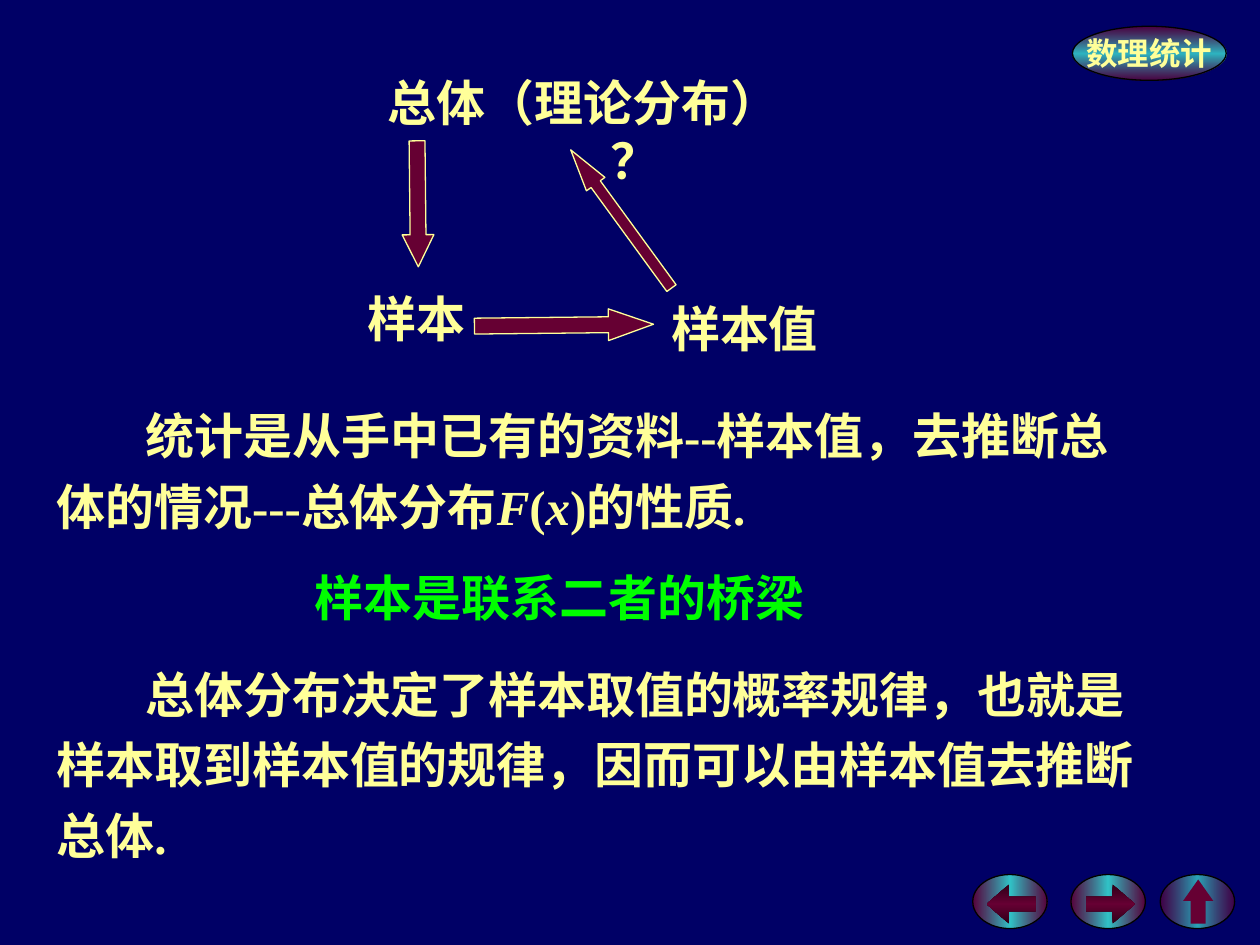
from dataclasses import dataclass

from lxml.etree import SubElement
from pptx import Presentation
from pptx.dml.color import RGBColor
from pptx.enum.shapes import MSO_SHAPE
from pptx.enum.text import MSO_ANCHOR, MSO_AUTO_SIZE, PP_ALIGN
from pptx.oxml.ns import qn
from pptx.util import Cm, Pt

NAVY = RGBColor(0x00, 0x00, 0x66)
MAROON = RGBColor(0x66, 0x00, 0x33)
DARK_MAROON = RGBColor(0x2F, 0x00, 0x18)
TEAL = RGBColor(0x33, 0xCC, 0xCC)
CREAM = RGBColor(0xFF, 0xFF, 0x99)
GREEN = RGBColor(0x00, 0xFF, 0x00)
BLACK = RGBColor(0x00, 0x00, 0x00)
FONT_NAME = "Times New Roman"
ITALIC_SYMBOLS = ("F", "x")


@dataclass(frozen=True)
class Box:
    """Left, top, width and height in centimetres."""
    left: float
    top: float
    width: float
    height: float

    def lengths(self):
        return Cm(self.left), Cm(self.top), Cm(self.width), Cm(self.height)


@dataclass(frozen=True)
class Line:
    """One paragraph: its runs, alignment and indents in centimetres."""
    runs: tuple[str, ...]
    alignment: PP_ALIGN = PP_ALIGN.CENTER
    left_indent: float = 0
    first_indent: float = 0
    spacing: float = 1.0


@dataclass(frozen=True)
class Label:
    box: Box
    lines: tuple[Line, ...]
    color: RGBColor = CREAM


@dataclass(frozen=True)
class BlockArrow:
    box: Box
    rotation: float
    head: float


@dataclass(frozen=True)
class Button:
    """Navigation oval with an arrow; opacity of its edge and its middle."""
    oval_left: float
    arrow: MSO_SHAPE
    arrow_box: Box
    adjustments: tuple[float, float]
    edge_opacity: int
    middle_opacity: int
    shaded: bool = True


def body(*runs: str) -> tuple[Line, ...]:
    return (Line(runs, PP_ALIGN.LEFT, first_indent=1.8, spacing=1.2),)


LABELS = (
    Label(Box(7.41, 1.32, 8.7, 2.64), (
        Line(("总体（理论分布）",)),
        Line(("？",), PP_ALIGN.LEFT, left_indent=4.64))),
    Label(Box(7.01, 5.69, 2.76, 1.45), (Line(("样本",)),)),
    Label(Box(13.03, 5.89, 3.71, 1.45), (Line(("样本值",), left_indent=0.25),)),
    Label(Box(0.89, 7.82, 22.15, 3.1), body(
        "统计是从手中已有的资料--样本值，去推断总体的情况---总体分布",
        "F", "(", "x", ")的性质.")),
    Label(Box(0.89, 13.03, 22.86, 4.52), body(
        "总体分布决定了样本取值的概率规律，也就是样本取到样本值的规律，"
        "因而可以由样本值去推断总体.")),
    Label(Box(5.95, 11.3, 10.66, 1.45), (Line(("样本是联系二者的桥梁",)),), GREEN),
)

BLOCK_ARROWS = (
    BlockArrow(Box(11.05, 4.75, 0.64, 3.61), 269.4, 1.42),
    BlockArrow(Box(8.1, 2.84, 0.64, 2.54), 359.4, 1.01),
    BlockArrow(Box(12.29, 2.69, 0.46, 3.45), 143.9, 1.86),
)

BUTTONS = (
    Button(19.61, MSO_SHAPE.LEFT_ARROW, Box(19.89, 17.83, 0.99, 0.79), (0.36, 0.57), 86, 96),
    Button(21.59, MSO_SHAPE.RIGHT_ARROW, Box(21.89, 17.83, 0.99, 0.79), (0.36, 0.57), 86, 96),
    Button(23.39, MSO_SHAPE.UP_ARROW, Box(23.85, 17.73, 0.61, 0.89), (0.5, 0.71), 62, 81, False),
)


def add_plain_shape(slide, kind: MSO_SHAPE, box: Box, line_color: RGBColor | None = None):
    shape = slide.shapes.add_shape(kind, *box.lengths())
    shape.shadow.inherit = False
    shape.fill.solid()
    shape.fill.fore_color.rgb = MAROON
    if line_color is None:
        shape.line.fill.background()
    else:
        shape.line.color.rgb = line_color
        shape.line.width = Pt(0.75)
    return shape


def set_mirrored_gradient(shape, edge: RGBColor, middle: RGBColor, angle: int,
                          edge_opacity: int = 100, middle_opacity: int = 100) -> None:
    """Fill with a gradient that runs from edge to middle and back."""
    shape.fill.gradient()
    gradient = shape.fill._xPr.find(qn("a:gradFill"))
    for child in list(gradient):
        gradient.remove(child)
    stop_list = SubElement(gradient, qn("a:gsLst"))
    stops = ((0, edge, edge_opacity), (50, middle, middle_opacity), (100, edge, edge_opacity))
    for position, color, opacity in stops:
        stop = SubElement(stop_list, qn("a:gs"), pos=str(position * 1000))
        color_element = SubElement(stop, qn("a:srgbClr"), val=str(color))
        if opacity < 100:
            SubElement(color_element, qn("a:alpha"), val=str(opacity * 1000))
    SubElement(gradient, qn("a:lin"), ang=str(angle * 60000), scaled="0")


def format_run(run, size: int, color: RGBColor) -> None:
    run.font.name = FONT_NAME
    run.font.size = Pt(size)
    run.font.bold = True
    run.font.italic = run.text in ITALIC_SYMBOLS
    run.font.color.rgb = color


def add_badge(slide) -> None:
    badge = add_plain_shape(slide, MSO_SHAPE.OVAL, Box(21.62, 0.53, 3.1, 1.09), BLACK)
    set_mirrored_gradient(badge, MAROON, TEAL, 90, 73, 89)
    text_frame = badge.text_frame
    text_frame.text = "数理统计"
    text_frame.word_wrap = False
    text_frame.vertical_anchor = MSO_ANCHOR.MIDDLE
    paragraph = text_frame.paragraphs[0]
    paragraph.alignment = PP_ALIGN.CENTER
    format_run(paragraph.runs[0], 18, CREAM)


def add_button(slide, button: Button) -> None:
    oval = add_plain_shape(slide, MSO_SHAPE.OVAL, Box(button.oval_left, 17.63, 1.5, 1.09), BLACK)
    set_mirrored_gradient(oval, MAROON, TEAL, 0, button.edge_opacity, button.middle_opacity)
    arrow = add_plain_shape(slide, button.arrow, button.arrow_box)
    arrow.adjustments[0], arrow.adjustments[1] = button.adjustments
    if button.shaded:
        set_mirrored_gradient(arrow, DARK_MAROON, MAROON, 90)


def add_block_arrow(slide, arrow: BlockArrow) -> None:
    shape = add_plain_shape(slide, MSO_SHAPE.DOWN_ARROW, arrow.box, CREAM)
    shape.adjustments[0], shape.adjustments[1] = 0.5, arrow.head
    shape.rotation = arrow.rotation


def add_label(slide, label: Label) -> None:
    text_frame = slide.shapes.add_textbox(*label.box.lengths()).text_frame
    text_frame.word_wrap = True
    text_frame.auto_size = MSO_AUTO_SIZE.SHAPE_TO_FIT_TEXT
    text_frame.vertical_anchor = MSO_ANCHOR.MIDDLE
    for index, line in enumerate(label.lines):
        paragraph = text_frame.add_paragraph() if index else text_frame.paragraphs[0]
        paragraph.alignment = line.alignment
        paragraph.line_spacing = line.spacing
        properties = paragraph._p.get_or_add_pPr()
        properties.set("marL", str(Cm(line.left_indent)))
        properties.set("indent", str(Cm(line.first_indent)))
        for text in line.runs:
            run = paragraph.add_run()
            run.text = text
            format_run(run, 28, label.color)


def main() -> None:
    presentation = Presentation()
    presentation.slide_width, presentation.slide_height = Cm(25.4), Cm(19.05)
    slide = presentation.slides.add_slide(presentation.slide_layouts[6])
    slide.background.fill.solid()
    slide.background.fill.fore_color.rgb = NAVY
    add_badge(slide)
    for button in BUTTONS:
        add_button(slide, button)
    for arrow in BLOCK_ARROWS:
        add_block_arrow(slide, arrow)
    for label in LABELS:
        add_label(slide, label)
    presentation.save("out.pptx")


if __name__ == "__main__":
    main()
